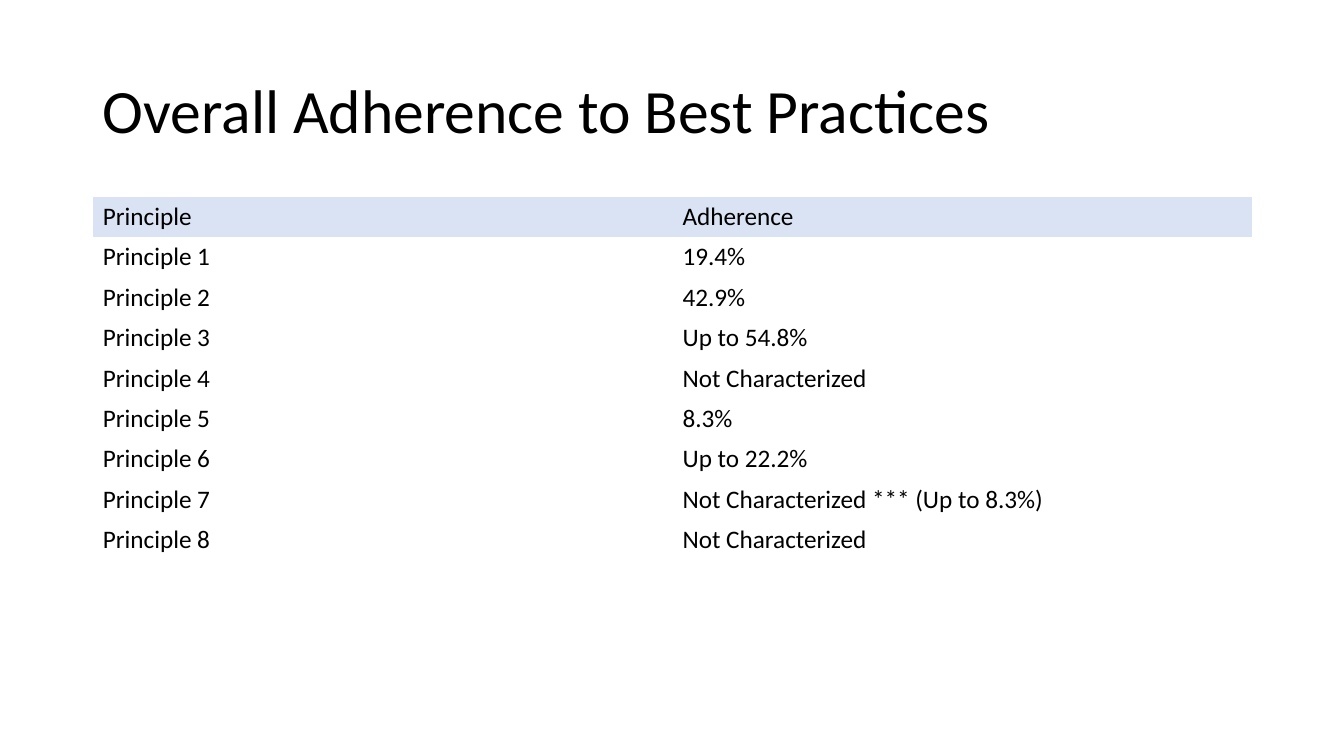
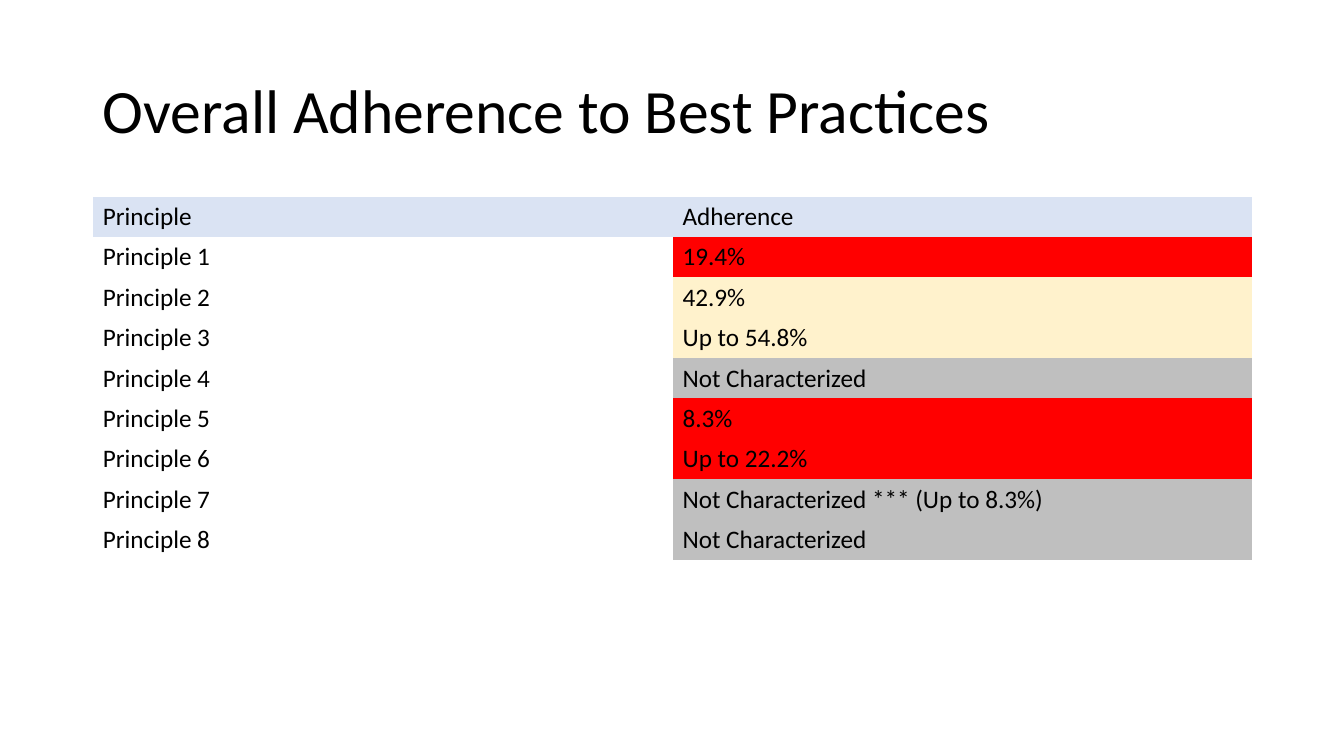
from pptx import Presentation
from pptx.dml.color import RGBColor
from pptx.enum.text import MSO_ANCHOR
from pptx.oxml.ns import qn
from pptx.util import Inches, Pt

MIDDLE = MSO_ANCHOR.MIDDLE
FONT = "Calibri"
BLACK = RGBColor(0x00, 0x00, 0x00)
HEADER_BLUE = RGBColor(0xDA, 0xE3, 0xF3)
LOW_RED = RGBColor(0xFF, 0x00, 0x00)
MEDIUM_YELLOW = RGBColor(0xFF, 0xF2, 0xCC)
UNKNOWN_GREY = RGBColor(0xBF, 0xBF, 0xBF)
PLAIN_TABLE_STYLE = "{2D5ABB26-0587-4C30-8999-92F81FD0307C}"

TITLE = "Overall Adherence to Best Practices"
TITLE_BOX = (0.92, 0.4, 11.5, 1.45)
TABLE_BOX = (0.92, 1.95, 11.5, 3.6)
HEADER = ("Principle", "Adherence")
ADHERENCE = [
    ("19.4%", LOW_RED),
    ("42.9%", MEDIUM_YELLOW),
    ("Up to 54.8%", MEDIUM_YELLOW),
    ("Not Characterized", UNKNOWN_GREY),
    ("8.3%", LOW_RED),
    ("Up to 22.2%", LOW_RED),
    ("Not Characterized *** (Up to 8.3%)", UNKNOWN_GREY),
    ("Not Characterized", UNKNOWN_GREY),
]


def set_font(paragraph, size):
    paragraph.font.name = FONT
    paragraph.font.size = Pt(size)
    paragraph.font.color.rgb = BLACK


def add_title(slide, box):
    frame = slide.shapes.add_textbox(*map(Inches, box)).text_frame
    frame.word_wrap = True
    frame.vertical_anchor = MIDDLE
    heading = frame.paragraphs[0]
    heading.text = TITLE
    heading.line_spacing = 0.9
    set_font(heading, 44)


def fill_cell(cell, text, color):
    """Write the text and fill the cell, or leave it clear if color is None."""
    cell.text = text
    cell.vertical_anchor = MIDDLE
    set_font(cell.text_frame.paragraphs[0], 18)
    if color is None:
        cell.fill.background()
    else:
        cell.fill.solid()
        cell.fill.fore_color.rgb = color


def add_adherence_table(slide, box, rated):
    """Add the table; rated colours each adherence by its level."""
    table = slide.shapes.add_table(
        len(ADHERENCE) + 1, len(HEADER), *map(Inches, box)).table
    table.first_row = False
    table.horz_banding = False
    table._tbl.tblPr.find(qn("a:tableStyleId")).text = PLAIN_TABLE_STYLE
    for column, heading in enumerate(HEADER):
        fill_cell(table.cell(0, column), heading, HEADER_BLUE)
    for number, (adherence, level) in enumerate(ADHERENCE, start=1):
        fill_cell(table.cell(number, 0), f"Principle {number}", None)
        fill_cell(table.cell(number, 1), adherence, level if rated else None)


def main():
    deck = Presentation()
    deck.slide_width = Inches(13.33)
    deck.slide_height = Inches(7.5)
    blank = deck.slide_layouts[6]
    for rated in (False, True):
        slide = deck.slides.add_slide(blank)
        add_title(slide, TITLE_BOX)
        add_adherence_table(slide, TABLE_BOX, rated)
    deck.save("out.pptx")


if __name__ == "__main__":
    main()
